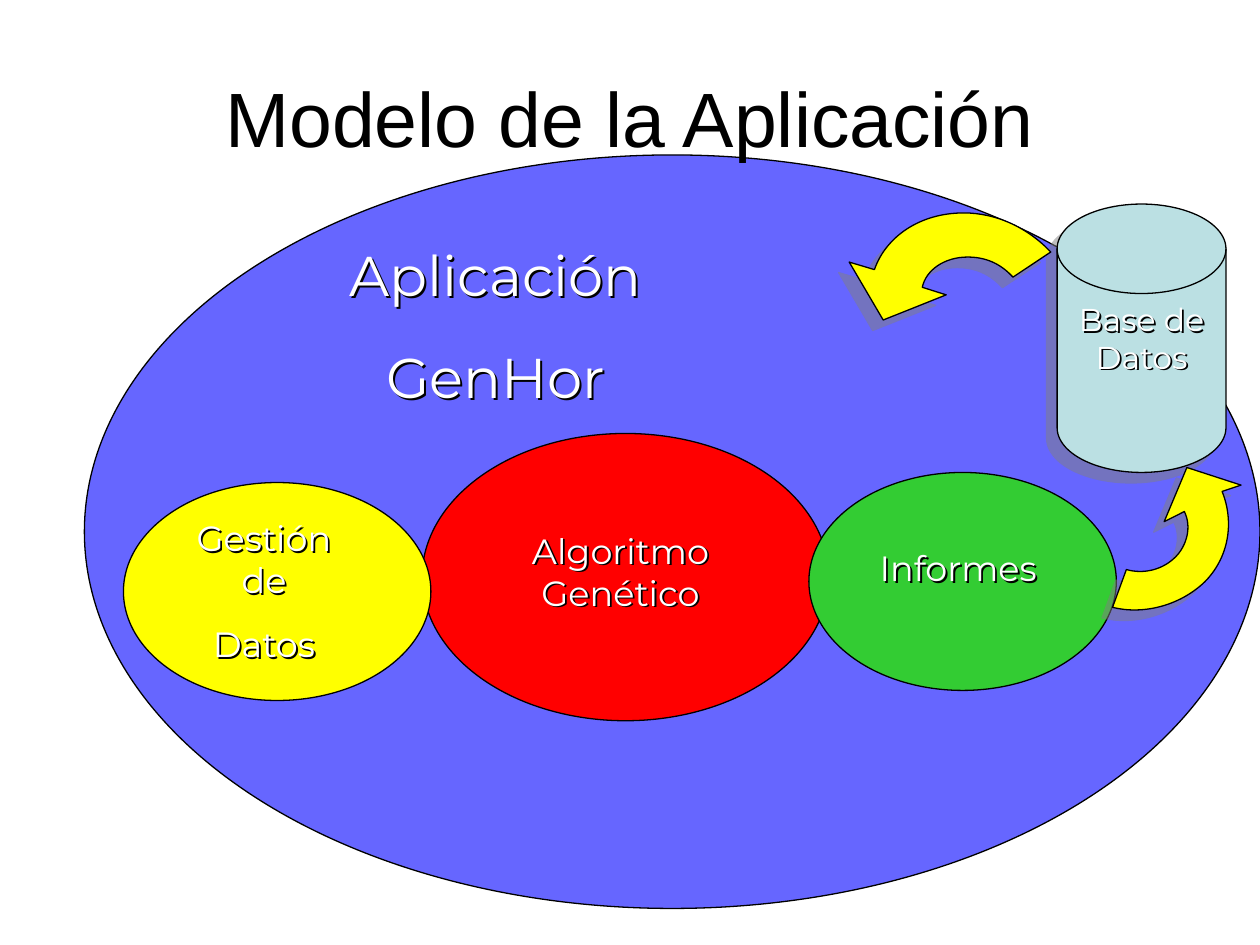
from math import cos, radians, sin
from lxml.etree import SubElement as Sub
from pptx import Presentation
from pptx.dml.color import RGBColor
from pptx.enum.shapes import MSO_SHAPE as Kind
from pptx.enum.text import MSO_ANCHOR as Anchor, PP_ALIGN as Align
from pptx.oxml.ns import qn
from pptx.util import Inches, Pt

BLACK = RGBColor(0, 0, 0)
WHITE = RGBColor(255, 255, 255)
GREY = RGBColor(0x80, 0x80, 0x80)
BLUE = RGBColor(0x66, 0x66, 0xFF)
RED = RGBColor(0xFF, 0, 0)
GREEN = RGBColor(0x33, 0xCC, 0x33)
YELLOW = RGBColor(0xFF, 0xFF, 0)
PALE = RGBColor(0xBB, 0xE0, 0xE3)
COLS, ROWS = 100, 75
WIDE, HIGH = Inches(10), Inches(7.5)

LOOP = [(73.2, 22.8), (73.5, 21.4, 75, 20.4, 76.8, 20.4),
        (78.2, 20.4, 79.4, 20.9, 80.4, 22), (83.4, 20),
        (81.5, 18, 79, 16.9, 76.5, 16.9),
        (73, 16.9, 70.3, 18.8, 69.4, 21.4),
        (67.4, 20.8), (70.1, 25.4), (75.1, 23.4)]
HOOK = [(94, 40.6), (94.6, 41.8, 94.2, 43.3, 93.3, 44.2),
        (92.3, 45.2, 90.8, 45.6, 89.4, 45.2), (88.3, 48.2),
        (90.7, 48.8, 93.6, 48.1, 95.6, 46.2),
        (97.5, 44.3, 98, 41.5, 97, 39),
        (98.5, 38.5), (94.2, 37.1), (92.4, 41.4)]


def place(box):
    """Turn grid columns and rows into slide lengths."""
    x, y, w, h = box
    return [round(v) for v in (x * WIDE / COLS, y * HIGH / ROWS,
                               w * WIDE / COLS, h * HIGH / ROWS)]


def shade(shape, dist, angle, color, alpha):
    """Cast an outer shadow from a shape."""
    fx = Sub(shape._element.spPr, qn("a:effectLst"))
    out = Sub(fx, qn("a:outerShdw"), dist=str(Pt(dist)),
              dir=str(angle * 60000), algn="ctr", rotWithShape="0")
    tint = Sub(out, qn("a:srgbClr"), val=str(color))
    Sub(tint, qn("a:alpha"), val=str(alpha * 1000))


def paint(shape, fill, cast=False):
    """Give a shape its fill, thin outline and optional shadow."""
    shape.fill.solid()
    shape.fill.fore_color.rgb = fill
    shape.line.color.rgb = BLACK
    shape.line.width = Pt(0.75)
    if cast:
        shade(shape, 8.5, 135, GREY, 50)
    else:
        shape.shadow.inherit = False


def write(slide, box, lines, size, font="Montserrat", color=WHITE, gap=0,
          anchor=Anchor.TOP, cast=True):
    """Write centred lines of text in a box."""
    text = slide.shapes.add_textbox(*place(box))
    if cast:
        shade(text, 1.5, 45, BLACK, 100)
    frame = text.text_frame
    frame.word_wrap = True
    frame.vertical_anchor = anchor
    for i, line in enumerate(lines):
        para = frame.paragraphs[0] if i == 0 else frame.add_paragraph()
        para.alignment = Align.CENTER
        para.space_before = Pt(gap if i else 0)
        run = para.add_run()
        run.text = line
        run.font.size = Pt(size)
        run.font.color.rgb = color
        run.font.name = font


def part(slide, box, fill, inset, lines, size=20, gap=12.5,
         kind=Kind.OVAL, cast=False):
    """Draw a labelled shape, its label set off from the box corner."""
    paint(slide.shapes.add_shape(kind, *place(box)), fill, cast)
    dx, dy, w, h = inset
    write(slide, (box[0] + dx, box[1] + dy, w, h), lines, size, gap=gap)


def arrow(slide, box, turn, steps):
    """Draw a curved block arrow in a turned box."""
    left, top, wide, high = place(box)
    pen = slide.shapes.build_freeform(left, top)
    pen.add_line_segments([(left + wide, top), (left + wide, top + high),
                           (left, top + high)], close=True)
    shape = pen.convert_to_shape()
    route = next(shape._element.iter(qn("a:path")))
    for node in list(route):
        route.remove(node)
    c, s = cos(radians(turn)), sin(radians(turn))
    for i, step in enumerate(steps):
        tag = "cubicBezTo" if len(step) > 2 else "lnTo" if i else "moveTo"
        node = Sub(route, qn("a:" + tag))
        for x, y in zip(step[::2], step[1::2]):
            px, py = place((x, y, 0, 0))[:2]
            dx, dy = px - left - wide / 2, py - top - high / 2
            Sub(node, qn("a:pt"), x=str(round(wide / 2 + dx * c + dy * s)),
                y=str(round(high / 2 + dy * c - dx * s)))
    Sub(route, qn("a:close"))
    shape.rotation = turn
    paint(shape, YELLOW, True)


def main():
    """Build the slide and save it."""
    deck = Presentation()
    deck.slide_width, deck.slide_height = WIDE, HIGH
    slide = deck.slides.add_slide(deck.slide_layouts[6])
    part(slide, (6.7, 12.3, 93.3, 59.8), BLUE, (10.2, 6.3, 44.9, 14.5),
         ["Aplicación", "GenHor"], 32, 20)
    write(slide, (5, 3, 90, 12.5), ["Modelo de la Aplicación"], 44, "Arial",
          BLACK, anchor=Anchor.MIDDLE, cast=False)
    part(slide, (33.5, 34.4, 32.3, 22.8), RED, (5.5, 7.1, 20.5, 7.7),
         ["Algoritmo Genético"])
    part(slide, (64.2, 37.5, 24.4, 17.3), GREEN, (4.1, 5.4, 15.5, 4.4),
         ["Informes"])
    part(slide, (9.8, 38.3, 24.4, 17.3), YELLOW, (3.4, 2.2, 15.5, 12.8),
         ["Gestión de", "Datos"])
    part(slide, (83.9, 16.2, 13.4, 21.3), PALE, (0, 7.1, 13.4, 7),
         ["Base de Datos"], 18, kind=Kind.FLOWCHART_MAGNETIC_DISK, cast=True)
    arrow(slide, (68.9, 17, 16.5, 14.2), 18.6, LOOP)
    arrow(slide, (83.9, 35.9, 13.8, 12.4), 334.9, HOOK)
    deck.save("out.pptx")


if __name__ == "__main__":
    main()
